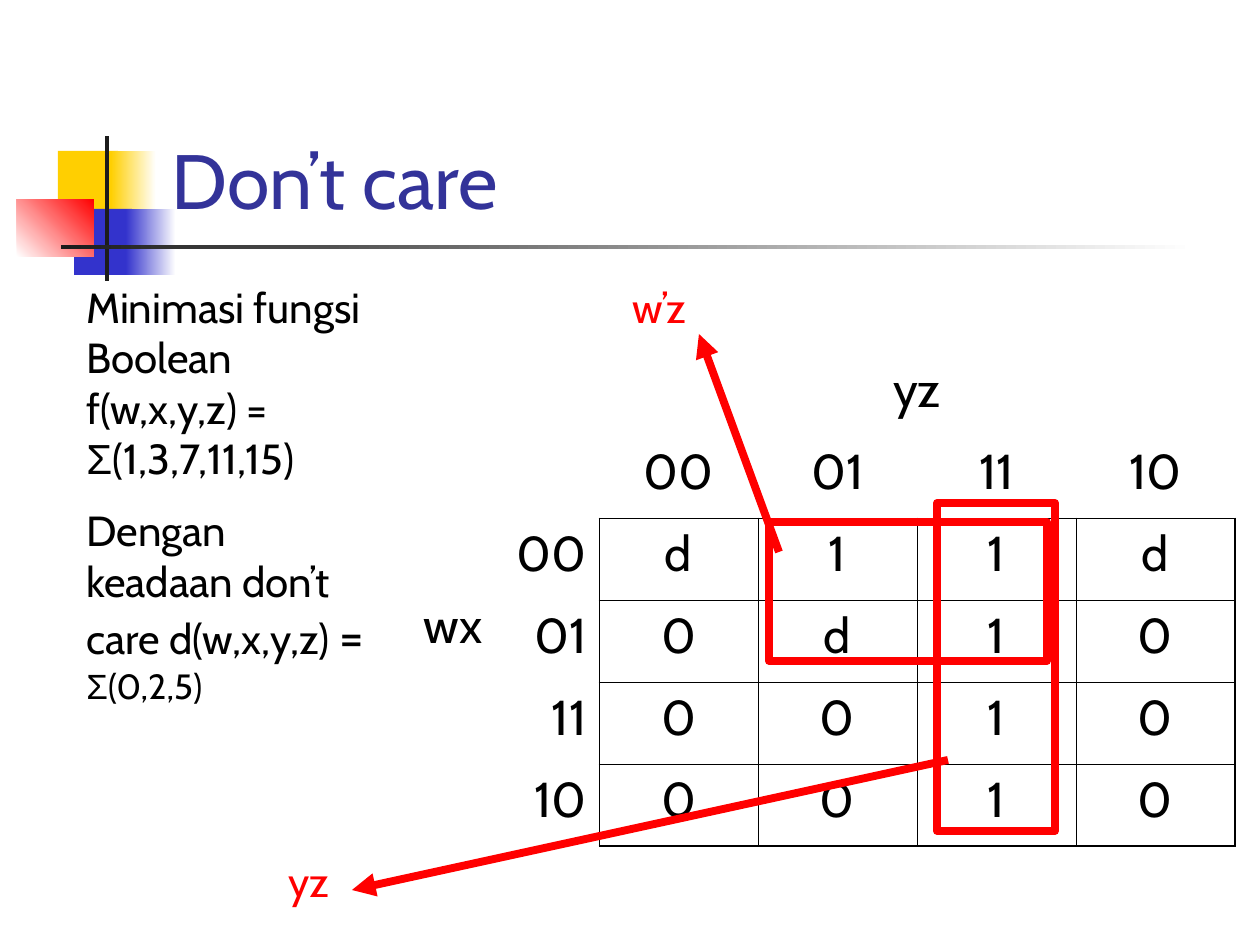
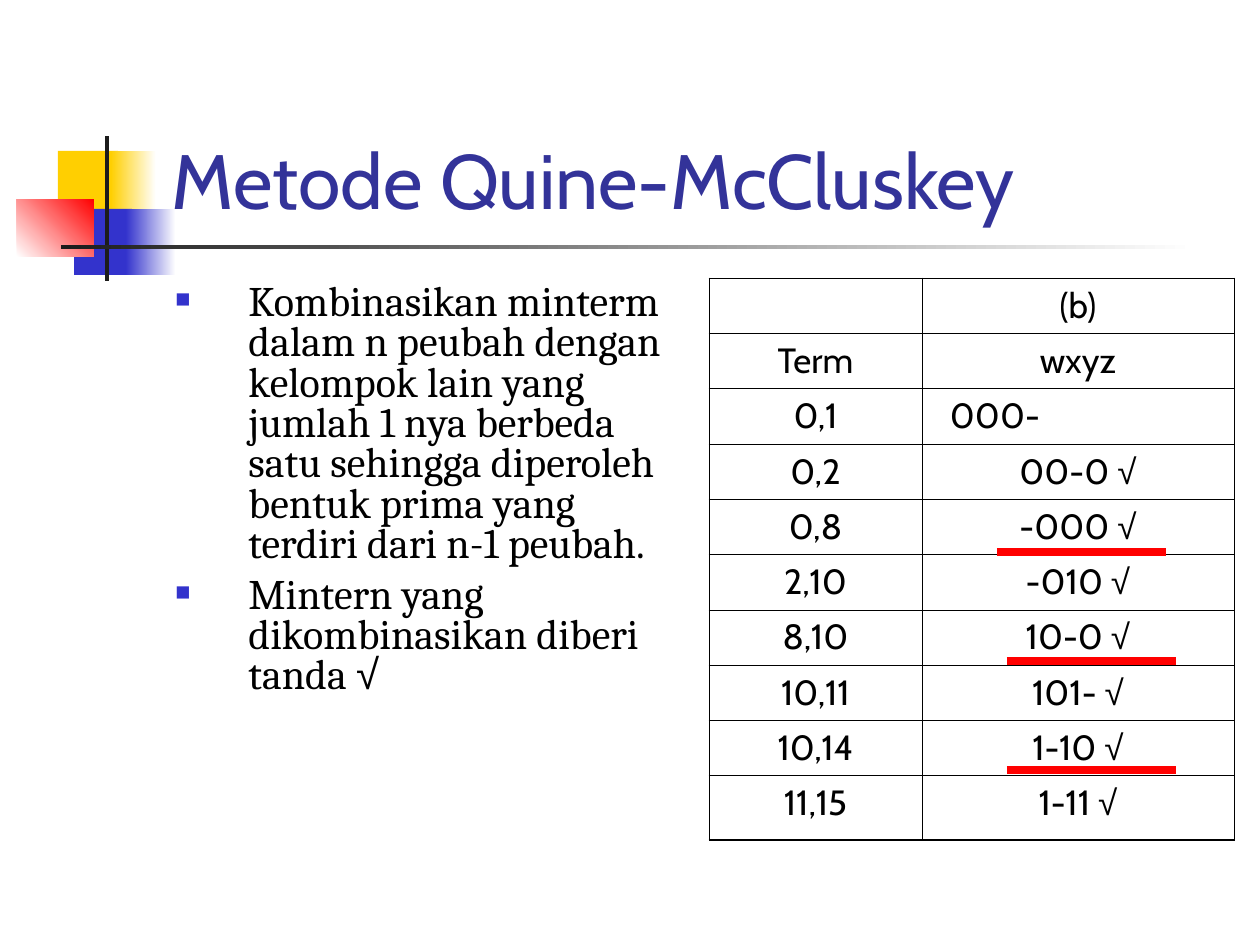
from dataclasses import dataclass
from itertools import groupby

from lxml import etree
from pptx import Presentation
from pptx.dml.color import RGBColor
from pptx.enum.shapes import MSO_CONNECTOR, MSO_SHAPE
from pptx.enum.text import MSO_ANCHOR, MSO_AUTO_SIZE, PP_ALIGN
from pptx.oxml.ns import qn
from pptx.util import Emu, Pt

LEFT, CENTER, RIGHT = PP_ALIGN.LEFT, PP_ALIGN.CENTER, PP_ALIGN.RIGHT
BOTTOM = MSO_ANCHOR.BOTTOM
NO_FIT = MSO_AUTO_SIZE.NONE
RECTANGLE = MSO_SHAPE.RECTANGLE
STRAIGHT = MSO_CONNECTOR.STRAIGHT
EMU_PER_PX = 914400 / 126
TITLE_ONLY = 5


@dataclass(frozen=True)
class Theme:
    ink: str = "000000"
    title: str = "333399"
    mark: str = "FF0000"
    yellow: str = "FFCF01"
    blue: str = "3333CC"
    rule: str = "1C1C1C"
    paper: str = "FFFFFF"
    sans: str = "Cabin"
    serif: str = "Cambria"
    symbol: str = "Arial"
    title_size: int = 44
    map_size: int = 28
    text_size: int = 24
    term_size: int = 20
    mark_width: float = 4.5
    thin: float = 0.45
    heavy: float = 1.08


THEME = Theme()
SYMBOLS = "Σ√"
PAGE = (1260, 945)
TITLE_BOX = (159, 29, 1074, 202)

DECORATION = [
    ((58, 151, 60, 66), THEME.yellow, None, 0),
    ((111, 151, 45, 66), THEME.yellow, THEME.paper, 0),
    ((74, 209, 58, 66), THEME.blue, None, 0),
    ((126, 209, 50, 66), THEME.blue, THEME.paper, 0),
    ((17, 199, 77, 58), THEME.paper, THEME.mark, 45),
    ((105, 136, 4, 145), THEME.rule, None, 0),
    ((61, 245, 1134, 4), THEME.rule, THEME.paper, 0),
]

DONT_CARE = {
    "title": "Don’t care",
    "problem_box": (74, 275, 318, 496),
    "problem": [
        [("Minimasi fungsi Boolean f(w,x,y,z) = Σ(1,3,7,11,15)", THEME.text_size)],
        [("Dengan keadaan don’t care d(w,x,y,z) ", THEME.text_size),
         ("= ", THEME.map_size), ("Σ(0,2,5)", THEME.term_size)],
    ],
    "map_origin": (282, 354),
    "map_columns": [159, 54, 104] + [159] * 4,
    "map_row": 82,
    "map": [
        ["", "", "", "yz", "", "", ""],
        ["", "", "", "00", "01", "11", "10"],
        ["wx", "", "00", "d", "1", "1", "d"],
        ["", "", "01", "0", "d", "1", "0"],
        ["", "", "11", "0", "0", "1", "0"],
        ["", "", "10", "0", "0", "1", "0"],
    ],
    "merges": [((0, 1), (0, 2)), ((0, 3), (0, 6)), ((1, 1), (1, 2)), ((2, 0), (5, 1))],
    "first_value": (2, 3),
    "loops": [(937, 503, 118, 328), (769, 522, 278, 139)],
    "pointers": [((779, 552), (699, 334)), ((948, 760), (352, 890))],
    "products": [("w’z", (620, 275, 198, 63), LEFT), ("yz", (144, 849, 198, 63), RIGHT)],
}

QUINE = {
    "title": "Metode Quine-McCluskey",
    "steps_box": (163, 278, 525, 567),
    "steps": [
        "Kombinasikan minterm dalam n peubah dengan kelompok lain yang jumlah 1 nya "
        "berbeda satu sehingga diperoleh bentuk prima yang terdiri dari n-1 peubah.",
        "Mintern yang dikombinasikan diberi tanda √",
    ],
    "terms_origin": (709, 278),
    "terms_columns": [213, 312],
    "terms_body": 498,
    "terms_last_row": 64,
    "terms": [
        ("", "(b)"), ("Term", "wxyz"), ("0,1", "000-"), ("0,2", "00-0 √"),
        ("0,8", "-000 √"), ("2,10", "-010 √"), ("8,10", "10-0 √"),
        ("10,11", "101- √"), ("10,14", "1-10 √"), ("11,15", "1-11 √"),
    ],
    "unpaired": "000-",
    "underline_width": 169,
    "underlines": [(997, 552), (1007, 661), (1007, 770)],
}

SIDES = {"L": (0, -1), "R": (0, 1), "T": (-1, 0), "B": (1, 0)}


def px(value):
    return Emu(round(value * EMU_PER_PX))


def scaled(values):
    return [px(value) for value in values]


def rgb(value):
    return RGBColor.from_string(value)


def add_text(para, text, size, color=THEME.ink, font=THEME.sans):
    for is_symbol, letters in groupby(text, key=lambda letter: letter in SYMBOLS):
        span = para.add_run()
        span.text = "".join(letters)
        span.font.name = THEME.symbol if is_symbol else font
        span.font.size = Pt(size)
        span.font.color.rgb = rgb(color)


def add_box(page, area):
    frame = page.shapes.add_textbox(*scaled(area)).text_frame
    frame.word_wrap = True
    return frame


def next_para(frame, index, space_before):
    if index == 0:
        return frame.paragraphs[0]
    para = frame.add_paragraph()
    para.space_before = Pt(space_before)
    return para


def add_rectangle(page, area):
    box = page.shapes.add_shape(RECTANGLE, *scaled(area))
    box.shadow.inherit = False
    return box


def add_mark_line(page, start, end, arrow=False):
    line = page.shapes.add_connector(STRAIGHT, *scaled(start + end))
    line.line.color.rgb = rgb(THEME.mark)
    line.line.width = Pt(THEME.mark_width)
    if arrow:
        etree.SubElement(line.line._get_or_add_ln(), qn("a:tailEnd"), type="triangle")
    etree.SubElement(line.element.spPr, qn("a:effectLst"))


def add_bullet(para):
    props = para._p.get_or_add_pPr()
    indent = px(73)
    props.set("marL", str(indent))
    props.set("indent", str(-indent))
    color = etree.SubElement(props, qn("a:buClr"))
    etree.SubElement(color, qn("a:srgbClr"), val=THEME.blue)
    etree.SubElement(props, qn("a:buSzPct"), val="60000")
    etree.SubElement(props, qn("a:buFont"), typeface=THEME.symbol)
    etree.SubElement(props, qn("a:buChar"), char="■")


def border_element(side, width):
    border = etree.Element(qn(f"a:ln{side}"), w=str(Pt(width)))
    if width:
        fill = etree.SubElement(border, qn("a:solidFill"))
        etree.SubElement(fill, qn("a:srgbClr"), val=THEME.ink)
    else:
        etree.SubElement(border, qn("a:noFill"))
    return border


def add_grid(page, origin, columns, heights, rows, size, first, heavy_sides):
    area = (*origin, sum(columns), sum(heights))
    table = page.shapes.add_table(len(rows), len(columns), *scaled(area)).table
    table.first_row = table.horz_banding = False
    for column, width in zip(table.columns, columns):
        column.width = px(width)
    for row, height in zip(table.rows, heights):
        row.height = px(height)

    def holds_value(r, c):
        return first[0] <= r < len(rows) and first[1] <= c < len(columns)

    for r, texts in enumerate(rows):
        for c, text in enumerate(texts):
            cell = table.cell(r, c)
            cell.fill.background()
            props = cell._tc.get_or_add_tcPr()
            for index, (side, (down, across)) in enumerate(SIDES.items()):
                inside, beyond = holds_value(r, c), holds_value(r + down, c + across)
                width = THEME.thin if inside or beyond else 0
                if inside and not beyond and side in heavy_sides:
                    width = THEME.heavy
                props.insert(index, border_element(side, width))
            if text:
                para = cell.text_frame.paragraphs[0]
                para.alignment = CENTER if c >= first[1] else RIGHT
                add_text(para, text, size)
    return table


def add_page(deck, title):
    page = deck.slides.add_slide(deck.slide_layouts[TITLE_ONLY])
    box = page.shapes.title
    box.left, box.top, box.width, box.height = scaled(TITLE_BOX)
    frame = box.text_frame
    frame.vertical_anchor = BOTTOM
    frame.auto_size = NO_FIT
    frame.paragraphs[0].alignment = LEFT
    add_text(frame.paragraphs[0], title, THEME.title_size, THEME.title)
    return page


def decorate_layout(page):
    layout = page.slide_layout
    tree = layout.shapes.element
    for holder in list(layout.placeholders):
        if holder.placeholder_format.idx:
            tree.remove(holder.element)
    for index, (area, start, end, angle) in enumerate(DECORATION):
        box = add_rectangle(page, area)
        box.line.fill.background()
        if end:
            box.fill.gradient()
            box.fill.gradient_angle = angle
            for stop, position, color in zip(box.fill.gradient_stops, (0, 1), (start, end)):
                stop.position = position
                stop.color.rgb = rgb(color)
        else:
            box.fill.solid()
            box.fill.fore_color.rgb = rgb(start)
        tree.insert(2 + index, box.element)


def fill_dont_care(page):
    topic = DONT_CARE
    rows = topic["map"]
    table = add_grid(page, topic["map_origin"], topic["map_columns"],
                     [topic["map_row"]] * len(rows), rows, THEME.map_size,
                     topic["first_value"], "RB")
    for start, end in topic["merges"]:
        table.cell(*start).merge(table.cell(*end))
    table.cell(2, 0).margin_top = px(78)
    for area in topic["loops"]:
        loop = add_rectangle(page, area)
        loop.fill.background()
        loop.line.color.rgb = rgb(THEME.mark)
        loop.line.width = Pt(THEME.mark_width)
    for start, end in topic["pointers"]:
        add_mark_line(page, start, end, arrow=True)
    for text, area, alignment in topic["products"]:
        para = add_box(page, area).paragraphs[0]
        para.alignment = alignment
        add_text(para, text, THEME.text_size, THEME.mark)
    frame = add_box(page, topic["problem_box"])
    for index, parts in enumerate(topic["problem"]):
        para = next_para(frame, index, 12.5)
        for text, size in parts:
            add_text(para, text, size)


def fill_quine(page):
    topic = QUINE
    frame = add_box(page, topic["steps_box"])
    for index, step in enumerate(topic["steps"]):
        para = next_para(frame, index, 6)
        para.line_spacing = 0.8
        add_bullet(para)
        add_text(para, step, THEME.text_size, font=THEME.serif)
    rows = topic["terms"]
    body_rows = len(rows) - 1
    heights = [topic["terms_body"] / body_rows] * body_rows + [topic["terms_last_row"]]
    table = add_grid(page, topic["terms_origin"], topic["terms_columns"], heights,
                     rows, THEME.term_size, (0, 0), "B")
    unpaired = table.cell([code for _, code in rows].index(topic["unpaired"]), 1)
    unpaired.margin_left = px(28)
    unpaired.text_frame.paragraphs[0].alignment = LEFT
    for left, top in topic["underlines"]:
        add_mark_line(page, (left, top), (left + topic["underline_width"], top))


def main():
    deck = Presentation()
    deck.slide_width, deck.slide_height = scaled(PAGE)
    first_page = add_page(deck, DONT_CARE["title"])
    decorate_layout(first_page)
    fill_dont_care(first_page)
    fill_quine(add_page(deck, QUINE["title"]))
    deck.save("out.pptx")


if __name__ == "__main__":
    main()
